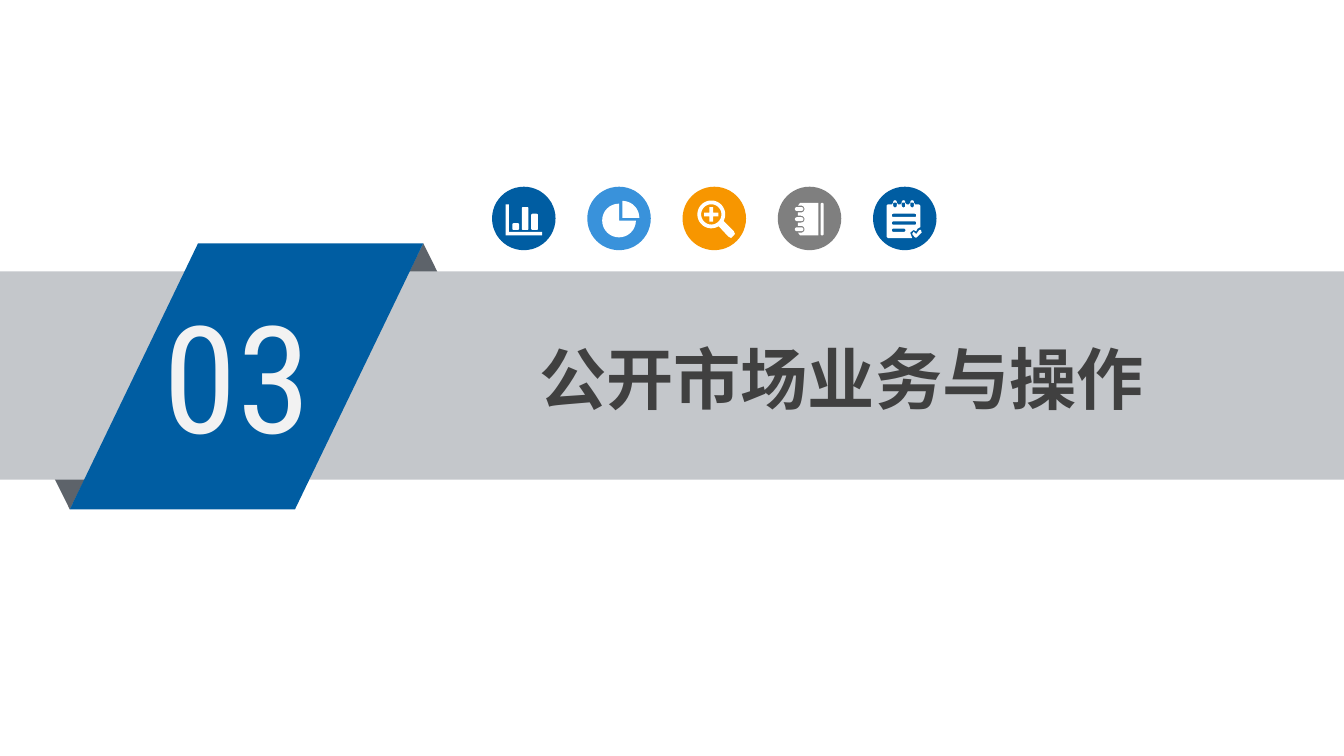
from math import cos, radians, sin

from lxml import etree
from pptx import Presentation
from pptx.dml.color import RGBColor
from pptx.enum.shapes import MSO_SHAPE
from pptx.enum.text import MSO_AUTO_SIZE
from pptx.oxml.ns import qn
from pptx.util import Cm, Pt

RECTANGLE = MSO_SHAPE.RECTANGLE
TRIANGLE = MSO_SHAPE.ISOSCELES_TRIANGLE
PARALLELOGRAM = MSO_SHAPE.PARALLELOGRAM
OVAL = MSO_SHAPE.OVAL
GROW = MSO_AUTO_SIZE.SHAPE_TO_FIT_TEXT

SECTION_NUMBER = "03"
SECTION_TITLE = "公开市场业务与操作"

THEME = {
    "blue": "005DA2", "sky": "3992DB", "orange": "F79600", "grey": "7F7F7F",
    "band": "C4C7CB", "fold": "5D636A", "icon": "FFFFFF",
    "number": {"name": "Roboto Condensed", "size": 80, "bold": False, "color": "F2F2F2"},
    "title": {"name": "Noto Sans CJK SC", "size": 36, "bold": True, "color": "404040"},
}

# Lengths in centimetres
SLIDE_W, SLIDE_H = 25.4, 14.29
BAND_TOP, BAND_H = 5.13, 3.94
RIBBON_LEFT, RIBBON_TOP, RIBBON_W, RIBBON_H = 1.32, 4.6, 6.68, 5.03
RIBBON_SLANT = 0.482
FOLD_W, FOLD_H = 2.29, 2.31
BADGE_LEFT, BADGE_TOP, BADGE_SIZE, BADGE_PITCH = 9.3, 3.53, 1.2, 1.8
BADGE_UNITS = 47  # icon outlines are drawn on a 47 x 47 grid over the badge


def arc(cx, cy, radius, start, end, steps=24):
    """Points along an arc; degrees run clockwise from the right."""
    angles = [radians(start + (end - start) * i / steps) for i in range(steps + 1)]
    return [(cx + radius * cos(a), cy + radius * sin(a)) for a in angles]


def bar(left, top, right, bottom, radius=1):
    corners = [(right - radius, bottom - radius, 0), (left + radius, bottom - radius, 90),
               (left + radius, top + radius, 180), (right - radius, top + radius, 270)]
    return [point for x, y, start in corners
            for point in arc(x, y, radius, start, start + 90, 6)]


def column_chart():
    axes = [(10, 13), (12.5, 13), (12.5, 33.5), (37, 33.5), (37, 36), (10, 36)]
    columns = [(15, 27), (22, 15), (29, 20)]
    return [axes] + [bar(x, top, x + 5, 32) for x, top in columns]


def pie_chart():
    return [[(26, 23)] + arc(26, 23, 12.5, -90, 0),
            [(23.5, 25)] + arc(23.5, 25, 12.5, 0, 270)]


def magnifier():
    cx, cy, reach, half = 21.3, 20.5, 5.3, 1.4
    lens_and_handle = arc(cx, cy, 10.3, 58, 388, 40) + [(38, 33), (38.8, 35), (36, 38), (34, 37)]
    plus = []
    for dx, dy in [(1, 0), (0, 1), (-1, 0), (0, -1)]:
        plus += [(cx + dx * reach + dy * half, cy + dy * reach - dx * half),
                 (cx + dx * reach - dy * half, cy + dy * reach + dx * half),
                 (cx + (dx - dy) * half, cy + (dx + dy) * half)]
    return [lens_and_handle, arc(cx, cy, 7.5, 0, 360, 40), plus]


def notebook():
    rings = [16.5, 24, 31.5]
    cover = [(30, 12), (30, 36), (16.5, 36)]
    for y in reversed(rings):
        cover += [(15, y + 2.5)] + arc(17.3, y, 2.5, 90, -90) + [(15, y - 2.5)]
    cover += [(16.5, 12)]
    return [cover, bar(31.7, 12, 34, 36)] + [bar(12.7, y - 1.4, 19, y + 1.4, 1.4) for y in rings]


def checklist():
    binders = [16.3, 22.6, 29]
    page = [(10, 37), (10, 14), (11, 13)]
    for x in binders:
        page += [(x - 2.7, 13)] + arc(x, 14.4, 2.7, 180, 360) + [(x + 2.7, 13)]
    page += [(34, 13), (35, 14), (35, 30), (33, 31), (32, 33), (30, 32), (27.5, 34),
             (29, 38), (11, 38)]
    tick = [(35.5, 32), (36, 34), (32, 37.8), (31, 37.5), (29, 35), (30, 33.3),
            (32, 35), (34.3, 32)]
    lines = [bar(14, y, right, y + 2.4) for y, right in [(20, 32), (25.7, 32), (31, 24)]]
    return [page, tick] + lines + [bar(x - 1.3, 10, x + 1.3, 15.3, 1.3) for x in binders]


BADGES = [
    ("blue", column_chart),
    ("sky", pie_chart),
    ("orange", magnifier),
    ("grey", notebook),
    ("blue", checklist),
]


def paint(shape, color):
    shape.shadow.inherit = False
    shape.fill.solid()
    shape.fill.fore_color.rgb = RGBColor.from_string(THEME[color])
    shape.line.fill.background()
    return shape


def add_block(parent, preset, left, top, width, height, color):
    return paint(parent.shapes.add_shape(preset, Cm(left), Cm(top), Cm(width), Cm(height)), color)


def add_ribbon(slide):
    ribbon = slide.shapes.add_group_shape()
    right, bottom = RIBBON_LEFT + RIBBON_W, RIBBON_TOP + RIBBON_H
    add_block(ribbon, TRIANGLE, right - FOLD_W / 2, RIBBON_TOP, FOLD_W, FOLD_H, "fold")
    lower_fold = add_block(ribbon, TRIANGLE, RIBBON_LEFT - FOLD_W / 2, bottom - FOLD_H,
                           FOLD_W, FOLD_H, "fold")
    lower_fold.rotation = 180
    add_block(ribbon, RECTANGLE, 0, BAND_TOP, SLIDE_W, BAND_H, "band")
    panel = add_block(ribbon, PARALLELOGRAM, RIBBON_LEFT, RIBBON_TOP, RIBBON_W, RIBBON_H, "blue")
    panel.adjustments[0] = RIBBON_SLANT


def add_badge(slide, left, color, icon):
    badge = slide.shapes.add_group_shape()
    add_block(badge, OVAL, left, BADGE_TOP, BADGE_SIZE, BADGE_SIZE, color)
    unit = Cm(BADGE_SIZE) / BADGE_UNITS
    first, *others = [[(x * unit, y * unit) for x, y in outline] for outline in icon()]
    pen = badge.shapes.build_freeform(*first[0])
    pen.add_line_segments(first[1:])
    for outline in others:
        pen.move_to(*outline[0])
        pen.add_line_segments(outline[1:])
    paint(pen.convert_to_shape(Cm(left), Cm(BADGE_TOP)), "icon")


def add_label(slide, text, left, top, width, height, style):
    frame = slide.shapes.add_textbox(Cm(left), Cm(top), Cm(width), Cm(height)).text_frame
    frame.word_wrap = True
    frame.auto_size = GROW
    frame.margin_left = frame.margin_right = Cm(0.19)
    frame.margin_top = frame.margin_bottom = Cm(0.1)
    paragraph = frame.paragraphs[0]
    paragraph.text = text
    font = paragraph.font
    font.name, font.size, font.bold = style["name"], Pt(style["size"]), style["bold"]
    font.color.rgb = RGBColor.from_string(style["color"])
    defaults = paragraph._p.pPr.find(qn("a:defRPr"))
    etree.SubElement(defaults, qn("a:ea")).set("typeface", style["name"])


def main():
    deck = Presentation()
    deck.slide_width, deck.slide_height = Cm(SLIDE_W), Cm(SLIDE_H)
    slide = deck.slides.add_slide(deck.slide_layouts[6])
    add_ribbon(slide)
    add_label(slide, SECTION_TITLE, 10, 6.27, 19.1, 1.73, THEME["title"])
    for index, (color, icon) in enumerate(BADGES):
        add_badge(slide, BADGE_LEFT + index * BADGE_PITCH, color, icon)
    add_label(slide, SECTION_NUMBER, 2.9, 5.28, 4.67, 3.61, THEME["number"])
    deck.save("out.pptx")


if __name__ == "__main__":
    main()
